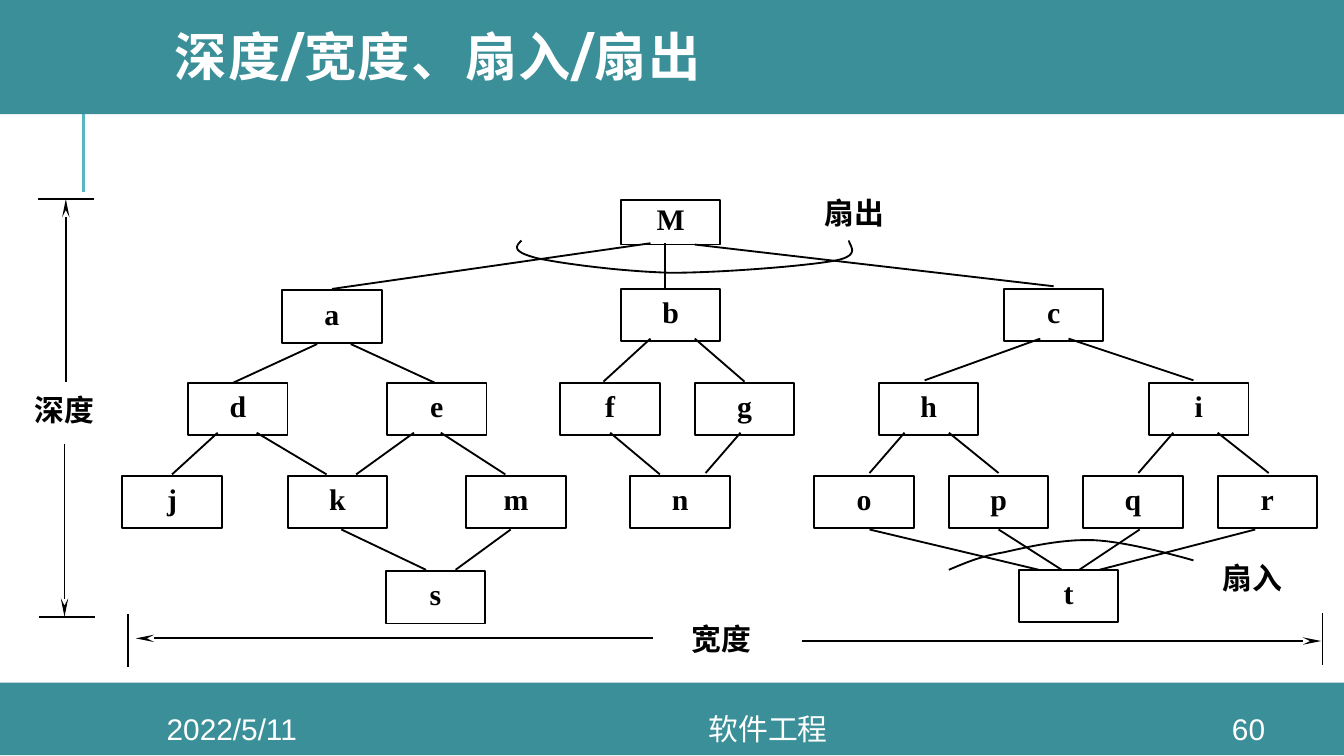
from dataclasses import dataclass
from lxml import etree
from pptx import Presentation
from pptx.dml.color import RGBColor
from pptx.enum import shapes, text
from pptx.oxml import ns
from pptx.util import Inches, Pt


@dataclass(frozen=True)
class Theme:
    band: RGBColor = RGBColor(0x3A, 0x8F, 0x98)
    rule: RGBColor = RGBColor(0x58, 0xB6, 0xC0)
    ink: RGBColor = RGBColor(0, 0, 0)
    white: RGBColor = RGBColor(255, 255, 255)
    head: str = "Montserrat"
    foot: str = "Arial"
    body: str = "Times New Roman"
    big: int = 28
    small: int = 16
    thin: float = 1
    thick: float = 1.5


THEME = Theme()
BOX_W, BOX_H = 0.74, 0.39

# Top of a tree row, then the left edge of every node in it
ROWS = [
    (2.16, {"a": 2.1}),
    (2.15, {"b": 4.62, "c": 7.47}),
    (2.85, {"d": 1.4, "e": 2.88, "f": 4.17, "g": 5.17, "h": 6.54, "i": 8.55}),
    (3.54, {"j": 0.91, "k": 2.14, "m": 3.47, "n": 4.69,
            "o": 6.06, "p": 7.06, "q": 8.06, "r": 9.06}),
    (4.25, {"s": 2.87}),
    (4.24, {"t": 7.58}),
]

# Start and end heights between two rows, then (upper x, lower x) per edge
EDGES = [
    (1.81, 2.15, [(4.84, 2.47), (4.95, 4.95)]),
    (1.82, 2.13, [(5.17, 7.84)]),
    (2.56, 2.85, [(2.36, 1.73), (2.61, 3.24)]),
    (2.52, 2.84, [(4.84, 4.49), (5.17, 5.54)]),
    (2.52, 2.83, [(7.74, 6.88), (7.95, 8.88)]),
    (3.22, 3.53, [(1.62, 1.28), (1.91, 2.43), (3.08, 2.65), (3.28, 3.76),
                  (4.54, 4.91)]),
    (3.22, 3.52, [(5.51, 5.25), (6.73, 6.47), (7.06, 7.43),
                  (8.73, 8.47), (9.06, 9.44)]),
    (3.94, 4.24, [(2.54, 3.17), (3.8, 3.39), (6.47, 7.73), (7.43, 7.9),
                  (8.48, 8.03), (9.34, 8.18)]),
]

FAN_OUT = [(3.88, 1.79), (3.84, 1.83), (3.8, 1.87), (3.99, 1.92),
           (4.17, 1.96), (4.62, 2.02), (4.99, 2.03),
           (5.36, 2.03), (5.99, 1.98), (6.21, 1.94),
           (6.43, 1.9), (6.3, 1.81), (6.32, 1.79)]
FAN_IN = [(7.06, 4.24), (7.18, 4.19), (7.29, 4.14), (7.47, 4.11),
          (7.65, 4.07), (7.9, 4.01), (8.14, 4.02),
          (8.37, 4.03), (8.74, 4.13), (8.88, 4.17)]

ARROWS = [((0.49, 2.84), (0.49, 1.48)), ((0.48, 3.3), (0.48, 4.59)),
          ((4.86, 4.75), (1.01, 4.75)), ((5.97, 4.77), (9.83, 4.77))]
STOPS = [((0.28, 1.48), (0.7, 1.48)), ((0.29, 4.59), (0.71, 4.59)),
         ((0.95, 4.57), (0.95, 4.96)), ((9.84, 4.56), (9.84, 4.95))]

MIDDLE, TOP = text.MSO_ANCHOR.MIDDLE, text.MSO_ANCHOR.TOP
LABELS = [("扇出", 5.88, 1.45, 0.31, MIDDLE), ("扇入", 8.84, 4.17, 0.31, MIDDLE),
          ("宽度", 4.89, 4.67, 0.48, TOP), ("深度", 0, 2.89, 0.37, MIDDLE)]
FOOTER = [("2022/5/11", 0.84, 1.77), ("软件工程", 2.61, 6.21),
          ("60", 8.89, 0.8)]


def place(shape, left, top, width, height):
    shape.left, shape.top = Inches(left), Inches(top)
    shape.width, shape.height = Inches(width), Inches(height)


def write(shape, words, face, size, color, bold=True, space=0.8,
          align=text.PP_ALIGN.CENTER, inset=0.0, anchor=MIDDLE):
    frame = shape.text_frame
    frame.text = words
    frame.word_wrap = True
    frame.auto_size = text.MSO_AUTO_SIZE.NONE
    frame.vertical_anchor = anchor
    frame.margin_left = frame.margin_right = Inches(inset)
    frame.margin_top = frame.margin_bottom = 0
    para = frame.paragraphs[0]
    para.alignment, para.line_spacing = align, space
    font = para.font
    font.name, font.size, font.bold = face, Pt(size), bold
    font.color.rgb = color


def add_title(slide, words):
    """Fill the title placeholder and lift it above the band."""
    title = slide.shapes.title
    place(title, 1.2, 0, 8.49, 0.91)
    write(title, words, THEME.head, THEME.big, THEME.white,
          align=text.PP_ALIGN.LEFT, inset=0.1)
    run = title.text_frame.paragraphs[0].runs[0]
    run.font._element.set("spc", "80")
    slide.shapes.element.append(title.element)


def add_band(slide, top, height):
    band = slide.shapes.add_shape(shapes.MSO_SHAPE.RECTANGLE, 0, Inches(top),
                                  Inches(10), Inches(height))
    band.shadow.inherit = False
    band.fill.solid()
    band.fill.fore_color.rgb = THEME.band
    band.line.fill.background()


def add_label(slide, words, left, top, width, height, **style):
    box = slide.shapes.add_textbox(0, 0, 0, 0)
    place(box, left, top, width, height)
    write(box, words, **style)


def outline(shape):
    shape.shadow.inherit = False
    shape.fill.background()
    shape.line.color.rgb = THEME.ink
    shape.line.width = Pt(THEME.thin)


def add_node(slide, name, left, top, height=BOX_H):
    node = slide.shapes.add_shape(shapes.MSO_SHAPE.RECTANGLE, 0, 0, 0, 0)
    place(node, left, top, BOX_W, height)
    outline(node)
    write(node, name, THEME.body, THEME.small, THEME.ink)


def add_line(slide, start, end, color=THEME.ink, width=THEME.thin, arrow=False):
    line = slide.shapes.add_connector(shapes.MSO_CONNECTOR.STRAIGHT,
                                      *map(Inches, (*start, *end)))
    line.line.color.rgb = color
    line.line.width = Pt(width)
    if arrow:
        etree.SubElement(line.line._get_or_add_ln(), ns.qn("a:tailEnd"),
                         type="stealth", w="sm", len="lg")
    etree.SubElement(line.element.spPr, ns.qn("a:effectLst"))


def add_curve(slide, knots, steps=16):
    """Draw a chain of cubic Bezier arcs as a fine open outline."""
    knots = [tuple(map(Inches, knot)) for knot in knots]
    dots = []
    for i in range(0, len(knots) - 1, 3):
        arc = knots[i:i + 4]
        for step in range(1, steps + 1):
            t = step / steps
            parts = ((1 - t) ** 3, 3 * t * (1 - t) ** 2,
                     3 * t * t * (1 - t), t ** 3)
            dots.append(tuple(sum(w * p[axis] for w, p in zip(parts, arc))
                              for axis in (0, 1)))
    pen = slide.shapes.build_freeform(*knots[0])
    pen.add_line_segments(dots, close=False)
    outline(pen.convert_to_shape())


def add_tree(slide):
    add_node(slide, "M", 4.62, 1.49, 0.33)
    for top, nodes in ROWS:
        for name, left in nodes.items():
            add_node(slide, name, left, top)
    for top, base, pairs in EDGES:
        for upper, lower in pairs:
            add_line(slide, (upper, top), (lower, base))


def main():
    deck = Presentation()
    deck.slide_width = Inches(10)
    deck.slide_height = deck.slide_width * 9 // 16
    slide = deck.slides.add_slide(deck.slide_layouts[5])
    add_line(slide, (0.62, 1.43), (0.62, 0.68), THEME.rule, THEME.thick)
    add_band(slide, 5.08, 0.54)
    add_band(slide, -0.03, 0.88)
    add_title(slide, "深度/宽度、扇入/扇出")
    for words, left, width in FOOTER:
        add_label(slide, words, left, 5.31, width, 0.23, face=THEME.foot,
                  size=THEME.small, color=THEME.white, bold=False, space=1.0)
    add_tree(slide)
    for knots in (FAN_OUT, FAN_IN):
        add_curve(slide, knots)
    for start, end in STOPS:
        add_line(slide, start, end)
    for start, end in ARROWS:
        add_line(slide, start, end, arrow=True)
    for words, left, top, height, anchor in LABELS:
        add_label(slide, words, left, top, 0.96, height, face=THEME.body,
                  size=THEME.small, color=THEME.ink, anchor=anchor)
    deck.save("out.pptx")


if __name__ == "__main__":
    main()
